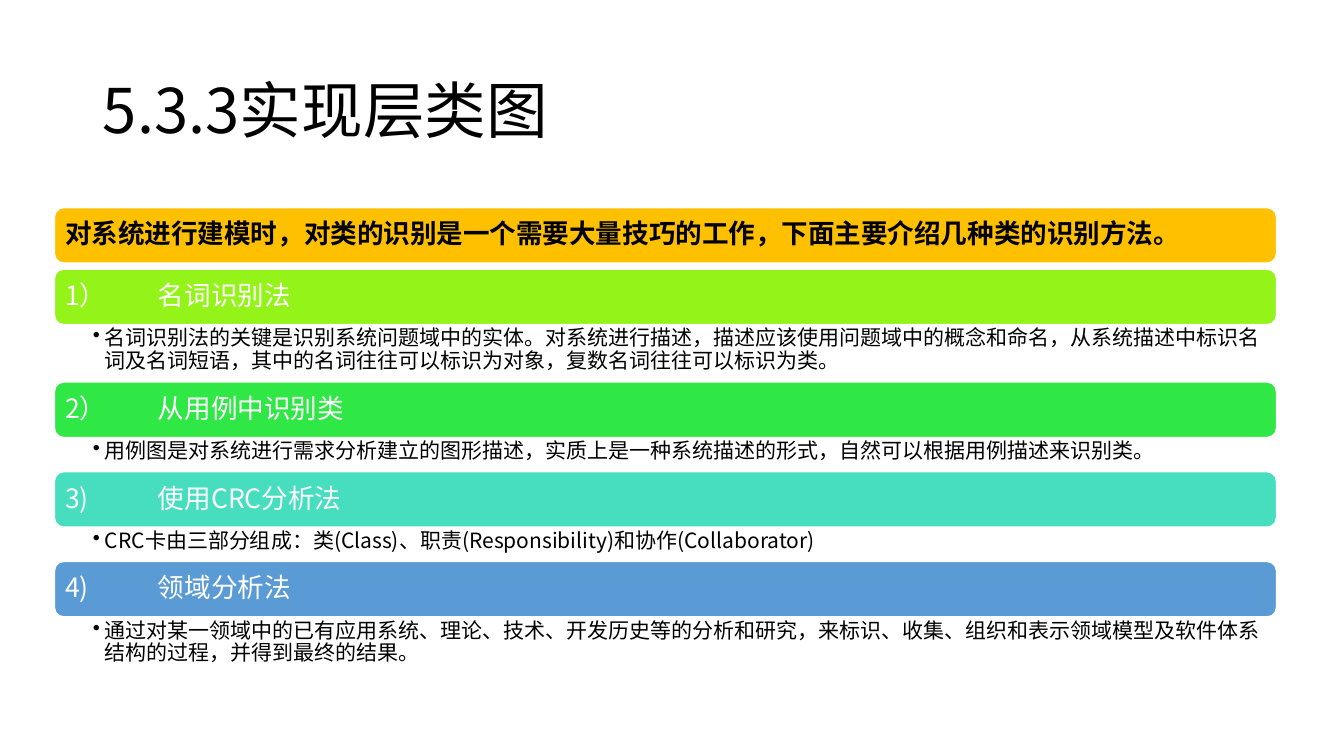
from pptx import Presentation
from pptx.dml.color import RGBColor as RGB
from pptx.enum.shapes import MSO_SHAPE as SHAPE
from pptx.enum.text import MSO_ANCHOR as ANCHOR, PP_ALIGN as ALIGN
from pptx.oxml.ns import qn
from pptx.util import Inches, Pt
from lxml.etree import SubElement as Sub

FONT = "Noto Sans CJK SC"
COLORS = {
    "black": "000000", "white": "FFFFFF", "gold": "FFC000", "lime": "94F319",
    "green": "30E845", "teal": "46DEBF", "blue": "5B9BD5",
}
LEFT, TOP, WIDTH = 0.54, 2.06, 12.12
BAR, GAP = 0.55, 0.06
ONE, TWO = 0.34, 0.57

INTRO = "对系统进行建模时，对类的识别是一个需要大量技巧的工作，下面主要介绍几种类的识别方法。"
METHODS = [
    ("lime", "1）\t名词识别法", TWO,
     "名词识别法的关键是识别系统问题域中的实体。对系统进行描述，描述应该使用问题域中的概念和命名，"
     "从系统描述中标识名词及名词短语，其中的名词往往可以标识为对象，复数名词往往可以标识为类。"),
    ("green", "2）\t从用例中识别类", ONE,
     "用例图是对系统进行需求分析建立的图形描述，实质上是一种系统描述的形式，自然可以根据用例描述来识别类。"),
    ("teal", "3)\t使用CRC分析法", ONE,
     "CRC卡由三部分组成：类(Class)、职责(Responsibility)和协作(Collaborator)"),
    ("blue", "4)\t领域分析法", TWO,
     "通过对某一领域中的已有应用系统、理论、技术、开发历史等的分析和研究，"
     "来标识、收集、组织和表示领域模型及软件体系结构的过程，并得到最终的结果。"),
]


def color(name):
    return RGB.from_string(COLORS[name])


def add_run(para, text, size, tint, bold=False):
    para.alignment = ALIGN.LEFT
    para.line_spacing = 0.9
    run = para.add_run()
    run.text = text
    font = run.font
    font.size, font.bold, font.name = Pt(size), bold, FONT
    font.color.rgb = color(tint)
    Sub(font._element, qn("a:ea"), typeface=FONT)


def set_frame(frame, left, top, right, bottom, anchor):
    frame.word_wrap = True
    frame.margin_left, frame.margin_right = Inches(left), Inches(right)
    frame.margin_top, frame.margin_bottom = Inches(top), Inches(bottom)
    frame.vertical_anchor = anchor


def add_title(slide, text):
    title = slide.shapes.title
    title.left, title.top = Inches(0.92), Inches(0.4)
    title.width, title.height = Inches(11.5), Inches(1.45)
    frame = title.text_frame
    set_frame(frame, 0.1, 0.05, 0.1, 0.05, ANCHOR.MIDDLE)
    add_run(frame.paragraphs[0], text, 44, "black")


def add_bar(slide, top, fill, text, tint="white", bold=False):
    bar = slide.shapes.add_shape(SHAPE.ROUNDED_RECTANGLE, Inches(LEFT), Inches(top),
                                 Inches(WIDTH), Inches(BAR))
    bar.shadow.inherit = False
    bar.fill.solid()
    bar.fill.fore_color.rgb = color(fill)
    bar.line.color.rgb = color("white")
    bar.line.width = Pt(1)
    set_frame(bar.text_frame, 0.08, 0.08, 0.08, 0.08, ANCHOR.MIDDLE)
    para = bar.text_frame.paragraphs[0]
    add_run(para, text, 19, tint, bold)
    tabs = Sub(para._p.get_or_add_pPr(), qn("a:tabLst"))
    Sub(tabs, qn("a:tab"), pos=str(Inches(0.92)), algn="l")


def add_note(slide, top, height, text):
    box = slide.shapes.add_textbox(Inches(LEFT), Inches(top), Inches(WIDTH), Inches(height))
    set_frame(box.text_frame, 0.38, 0.03, 0.15, 0.03, ANCHOR.TOP)
    para = box.text_frame.paragraphs[0]
    add_run(para, text, 15, "black")
    props = para._p.get_or_add_pPr()
    props.set("marL", str(Inches(0.12)))
    props.set("indent", str(-Inches(0.12)))
    Sub(props, qn("a:buChar"), char="•")


def main():
    deck = Presentation()
    deck.slide_width, deck.slide_height = Inches(13.33), Inches(7.5)
    slide = deck.slides.add_slide(deck.slide_layouts[5])
    add_title(slide, "5.3.3实现层类图")
    add_bar(slide, TOP, "gold", INTRO, "black", True)
    top = TOP + BAR + GAP
    for fill, name, height, note in METHODS:
        add_bar(slide, top, fill, name)
        add_note(slide, top + BAR, height, note)
        top += BAR + height
    deck.save("out.pptx")


main()
